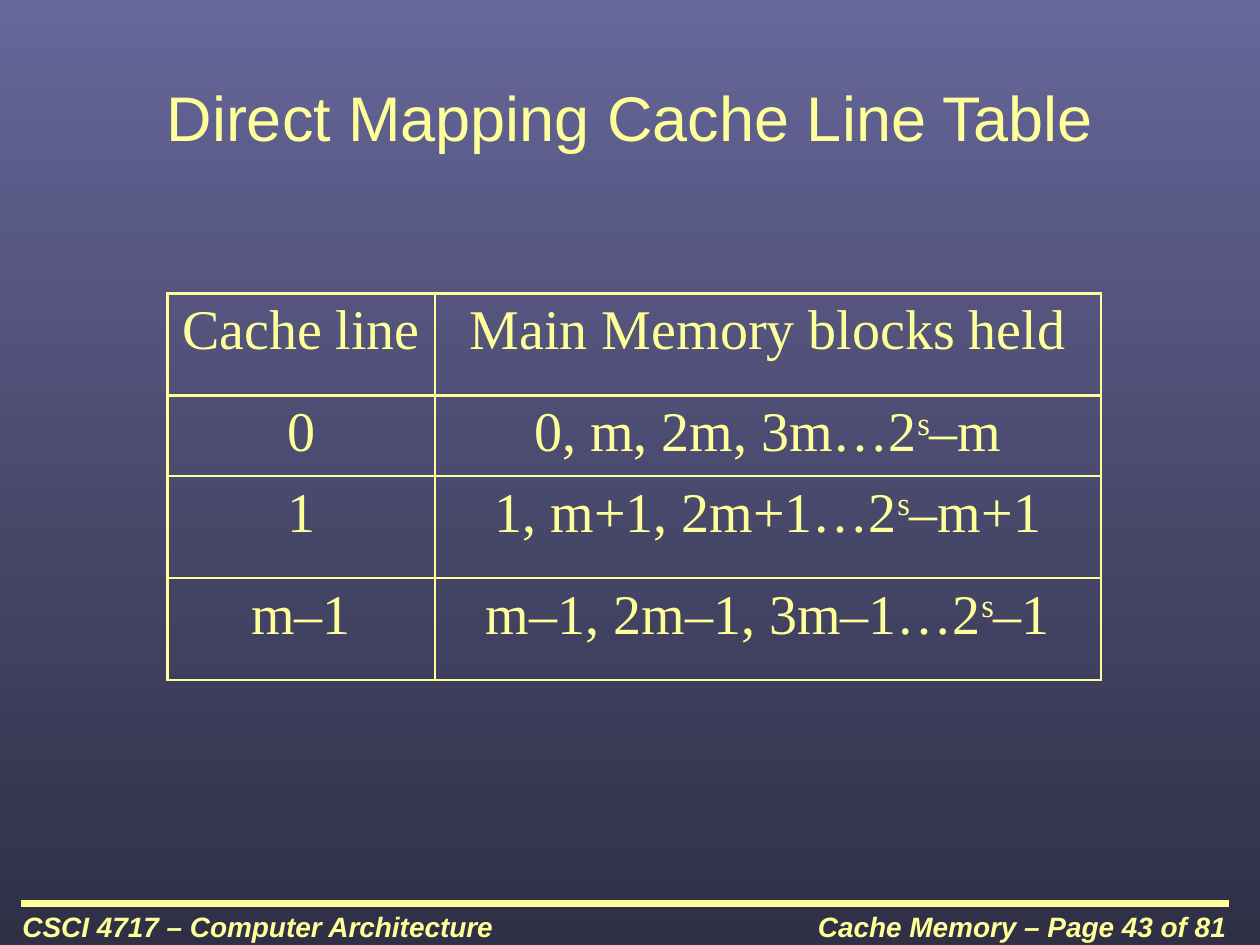
from lxml.etree import SubElement
from pptx import Presentation
from pptx.dml.color import RGBColor
from pptx.enum.shapes import MSO_CONNECTOR
from pptx.enum.text import MSO_ANCHOR, PP_ALIGN
from pptx.oxml.ns import qn
from pptx.util import Inches, Pt

COLORS = {"text": "FFFF99", "top": "666699", "bottom": "2F2F46"}


def rgb(name):
    return RGBColor.from_string(COLORS[name])


class Deck:
    heading_font = "Arial"
    table_font = "Times New Roman"
    border_width = Pt(1.47)

    def __init__(self, width, height):
        self.prs = Presentation()
        self.prs.slide_width = Inches(width)
        self.prs.slide_height = Inches(height)
        self.s = self.prs.slides.add_slide(self.prs.slide_layouts[6])

    def background(self):
        fill = self.s.background.fill
        fill.gradient()
        fill.gradient_angle = 270
        for stop, name in zip(fill.gradient_stops, ("top", "bottom")):
            stop.color.rgb = rgb(name)

    def style(self, p, font, size, align, strong=False):
        p.alignment = align
        p.font.name = font
        p.font.size = Pt(size)
        p.font.bold = p.font.italic = strong
        p.font.color.rgb = rgb("text")

    def text(self, text, x, y, w, h, size, align, strong=False):
        sp = self.s.shapes.add_textbox(Inches(x), Inches(y), Inches(w), Inches(h))
        tf = sp.text_frame
        tf.word_wrap = True
        tf.vertical_anchor = MSO_ANCHOR.TOP if strong else MSO_ANCHOR.MIDDLE
        p = tf.paragraphs[0]
        p.text = text
        self.style(p, self.heading_font, size, align, strong)

    def rule(self, x1, x2, y, width):
        sp = self.s.shapes.add_connector(
            MSO_CONNECTOR.STRAIGHT, Inches(x1), Inches(y), Inches(x2), Inches(y))
        sp.line.color.rgb = rgb("text")
        sp.line.width = Pt(width)
        SubElement(sp._element.spPr, qn("a:effectLst"))

    def borders(self, cell):
        tcPr = cell._tc.get_or_add_tcPr()
        for side in ("lnL", "lnR", "lnT", "lnB"):
            ln = SubElement(tcPr, qn(f"a:{side}"), w=str(self.border_width))
            fill = SubElement(ln, qn("a:solidFill"))
            SubElement(fill, qn("a:srgbClr"), val=COLORS["text"])

    def cell(self, cell, parts):
        self.borders(cell)
        cell.fill.background()
        p = cell.text_frame.paragraphs[0]
        for i, part in enumerate(parts):
            r = p.add_run()
            r.text = part
            if i == 1:
                r.font._element.set("baseline", "30000")
        self.style(p, self.table_font, 32, PP_ALIGN.CENTER)

    def table(self, rows, x, y, widths, heights):
        table = self.s.shapes.add_table(
            len(rows), len(widths), Inches(x), Inches(y),
            Inches(sum(widths)), Inches(sum(heights))).table
        table.first_row = table.horz_banding = False
        for col, width in zip(table.columns, widths):
            col.width = Inches(width)
        for row, height, values in zip(table.rows, heights, rows):
            row.height = Inches(height)
            for cell, parts in zip(row.cells, values):
                self.cell(cell, parts)


def main():
    deck = Deck(10, 7.5)
    deck.background()
    deck.rule(0.17, 9.75, 7.17, 4)
    deck.text("Cache Memory – Page 43 of 81", 4.75, 7.17, 5.08, 0.37, 16,
              PP_ALIGN.RIGHT, strong=True)
    deck.text("CSCI 4717 – Computer Architecture", 0.08, 7.17, 5.08, 0.37, 16,
              PP_ALIGN.LEFT, strong=True)
    deck.text("Direct Mapping Cache Line Table", 0.5, 0.3, 9, 1.25, 36,
              PP_ALIGN.CENTER)
    rows = [
        (["Cache line"], ["Main Memory blocks held"]),
        (["0"], ["0, m, 2m, 3m…2", "s", "–m"]),
        (["1"], ["1, m+1, 2m+1…2", "s", "–m+1"]),
        (["m–1"], ["m–1, 2m–1, 3m–1…2", "s", "–1"]),
    ]
    deck.table(rows, 1.33, 2.33, (2.12, 5.29), (0.81, 0.64, 0.81, 0.81))
    deck.prs.save("out.pptx")


if __name__ == "__main__":
    main()
